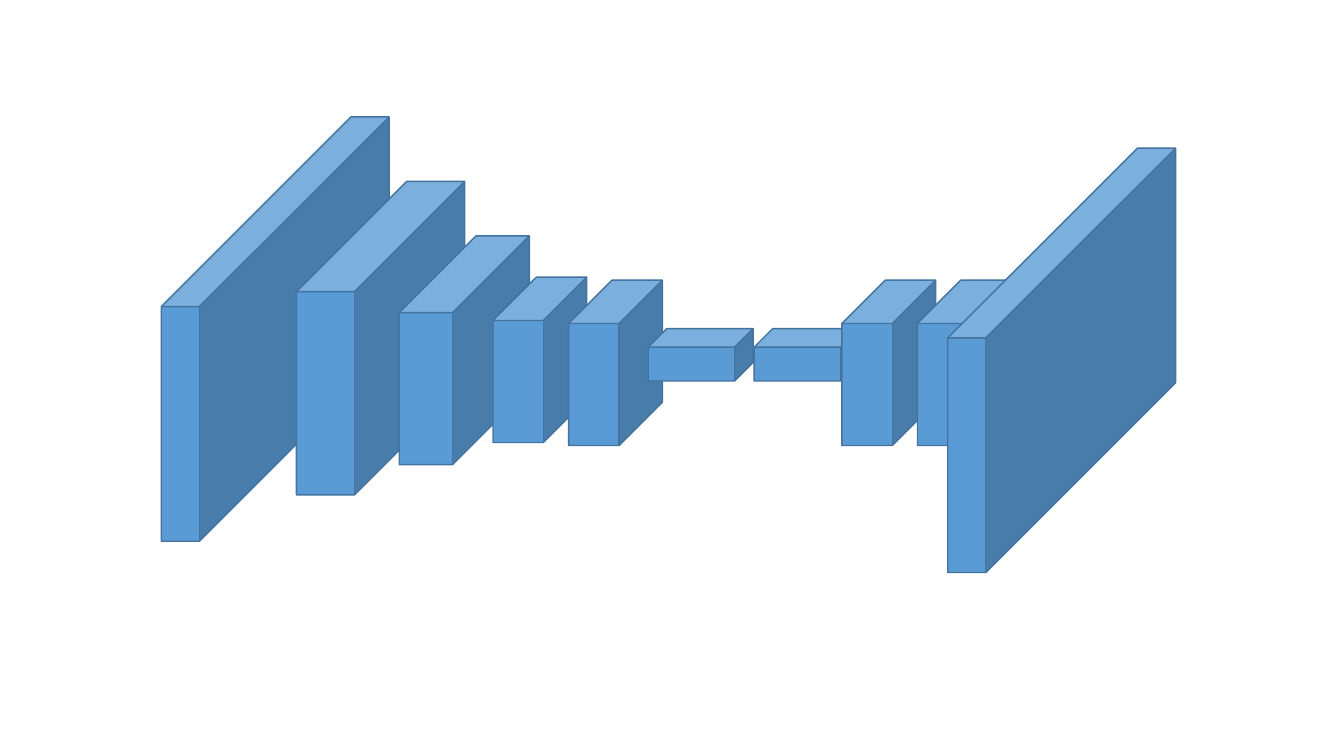
from dataclasses import dataclass

from pptx import Presentation
from pptx.dml.color import RGBColor
from pptx.enum.shapes import MSO_SHAPE as Preset
from pptx.slide import Slide
from pptx.util import Inches, Pt

LAYER_FILL = RGBColor(0x5B, 0x9B, 0xD5)
LAYER_EDGE = RGBColor(0x43, 0x73, 0x9E)


@dataclass(frozen=True)
class Block:
    width: float
    height: float
    depth: float


@dataclass(frozen=True)
class Layer:
    block: Block
    left: float
    top: float


OUTER = Block(2.26, 4.21, 0.833)
LARGE = Block(1.67, 3.11, 0.655)
MEDIUM = Block(1.29, 2.27, 0.59)
SMALL = Block(0.93, 1.64, 0.462)
BOTTLENECK = Block(1.04, 0.52, 0.354)

LAYERS = [
    Layer(OUTER, 1.6, 1.16),
    Layer(LARGE, 2.94, 1.8),
    Layer(MEDIUM, 3.96, 2.34),
    Layer(SMALL, 4.89, 2.75),
    Layer(SMALL, 5.64, 2.78),
    Layer(BOTTLENECK, 6.43, 3.26),
    Layer(BOTTLENECK, 7.48, 3.26),
    Layer(SMALL, 8.35, 2.78),
    Layer(SMALL, 9.1, 2.78),
    Layer(OUTER, 9.4, 1.47),
]


def draw_layer(page: Slide, layer: Layer) -> None:
    block = layer.block
    cube = page.shapes.add_shape(
        Preset.CUBE,
        Inches(layer.left),
        Inches(layer.top),
        Inches(block.width),
        Inches(block.height),
    )
    cube.adjustments[0] = block.depth
    cube.shadow.inherit = False
    cube.fill.solid()
    cube.fill.fore_color.rgb = LAYER_FILL
    cube.line.color.rgb = LAYER_EDGE
    cube.line.width = Pt(1)


def main() -> None:
    deck = Presentation()
    deck.slide_width = Inches(13.33)
    deck.slide_height = Inches(7.5)
    page = deck.slides.add_slide(deck.slide_layouts[6])
    for layer in LAYERS:
        draw_layer(page, layer)
    deck.save("out.pptx")


if __name__ == "__main__":
    main()
